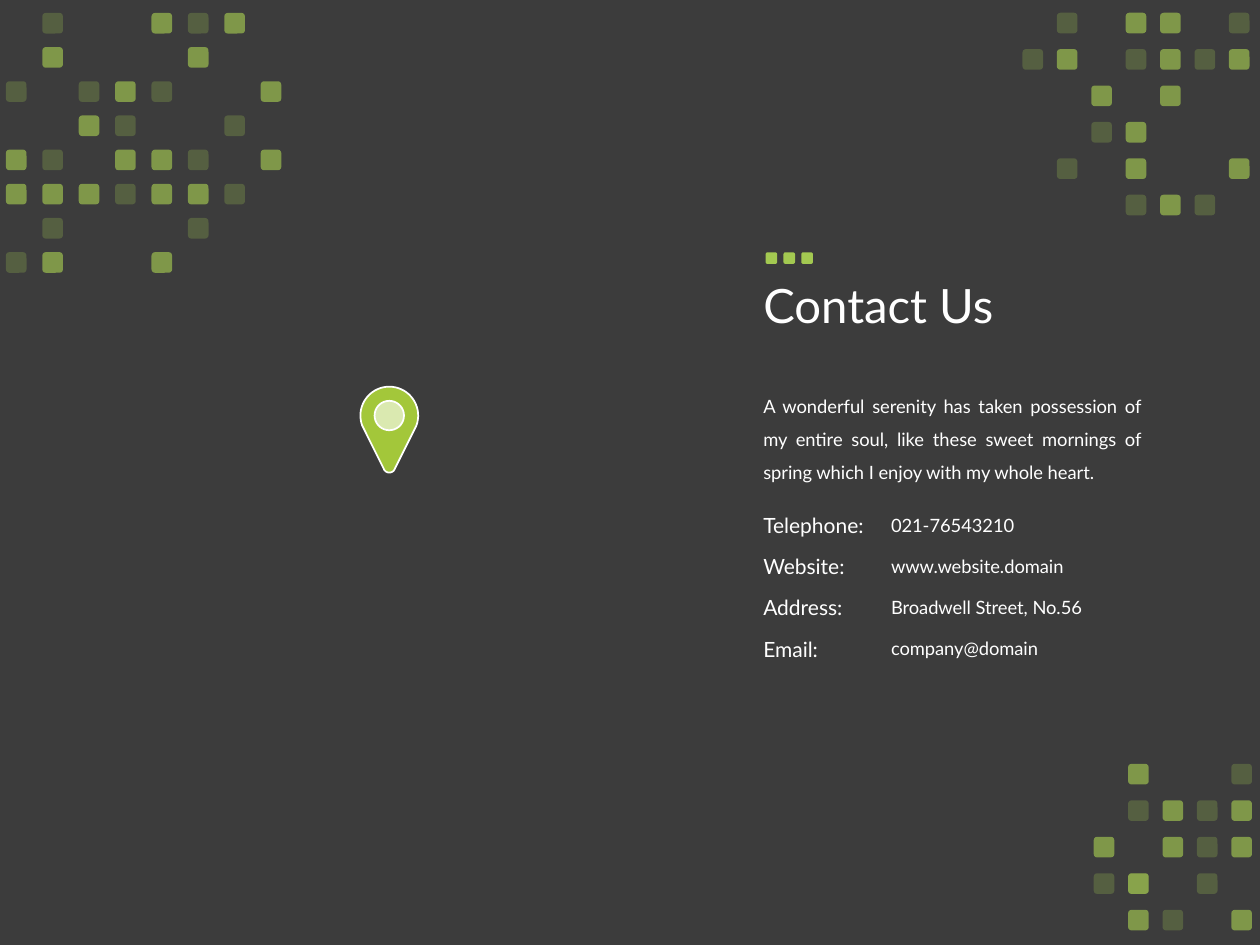
from math import cos, radians, sin

from lxml.etree import SubElement
from pptx import Presentation
from pptx.dml.color import RGBColor
from pptx.enum.shapes import MSO_SHAPE as Preset
from pptx.enum.text import MSO_ANCHOR as Anchor, PP_ALIGN as Align
from pptx.oxml.ns import qn
from pptx.util import Pt

BACKGROUND = RGBColor(0x3C, 0x3C, 0x3C)
WHITE = RGBColor(0xFF, 0xFF, 0xFF)
SQUARE_GREEN = RGBColor(0xA3, 0xC9, 0x51)
PIN_GREEN = RGBColor(0xA3, 0xC7, 0x3A)
PIN_PALE = RGBColor(0xDA, 0xE9, 0xB0)

# Opacity in percent of the squares that each pattern mark stands for
OPACITIES = {".": (), "o": (25,), "#": (65,), "@": (65, 25)}
SQUARE = 11.8

TOP_LEFT = [
    ".o..#o#.",
    ".#...#..",
    "o.o#o..#",
    "..#o..o.",
    "#o.##o.#",
    "###o##o.",
    ".o...o..",
    "o#..#...",
]
TOP_RIGHT = [
    ".o.##.o",
    "o#.o#o#",
    "..#.#..",
    "..o#...",
    ".o.#..#",
    "...o#o.",
]
BOTTOM_RIGHT = [
    ".#..o",
    ".o#o#",
    "#.#o#",
    "o@.o.",
    ".#o.#",
]

INTRO = ("A wonderful serenity has taken possession of my entire soul, like these "
         "sweet mornings of spring which I enjoy with my whole heart.")
CONTACTS = [
    ("Telephone:", "021-76543210"),
    ("Website:", "www.website.domain"),
    ("Address:", "Broadwell Street, No.56"),
    ("Email:", "company@domain"),
]


def paint(shape, color, outline=None):
    """Give a shape a flat fill and an optional 1 pt outline."""
    shape.shadow.inherit = False
    shape.fill.solid()
    shape.fill.fore_color.rgb = color
    if outline is None:
        shape.line.fill.background()
    else:
        shape.line.color.rgb = outline
        shape.line.width = Pt(1)


def add_square(group, left, top, size, opacity=100):
    square = group.shapes.add_shape(
        Preset.ROUNDED_RECTANGLE, Pt(left), Pt(top), Pt(size), Pt(size))
    paint(square, SQUARE_GREEN)
    if opacity < 100:
        color = square.fill._xPr.find(qn("a:solidFill"))[0]
        SubElement(color, qn("a:alpha"), val=str(opacity * 1000))


def add_mosaic(slide, left, top, column_step, row_step, pattern):
    group = slide.shapes.add_group_shape()
    for row, marks in enumerate(pattern):
        for column, mark in enumerate(marks):
            for opacity in OPACITIES[mark]:
                add_square(group, left + column * column_step,
                           top + row * row_step, SQUARE, opacity)


def add_text(slide, left, top, width, height, text, size, anchor=Anchor.TOP, **layout):
    box = slide.shapes.add_textbox(Pt(left), Pt(top), Pt(width), Pt(height))
    frame = box.text_frame
    frame.word_wrap = True
    frame.vertical_anchor = anchor
    paragraph = frame.paragraphs[0]
    paragraph.text = text
    for name, value in layout.items():
        setattr(paragraph, name, value)
    for name, value in {"name": "Lato", "size": Pt(size)}.items():
        setattr(paragraph.font, name, value)
    paragraph.font.color.rgb = WHITE


def arc(center_x, center_y, radius, start, end, steps=36):
    """Points along an arc; angles in degrees, clockwise from the right."""
    angles = [radians(start + (end - start) * i / steps) for i in range(steps + 1)]
    return [(Pt(center_x + radius * cos(a)), Pt(center_y + radius * sin(a)))
            for a in angles]


def add_map_pin(slide, left, top):
    group = slide.shapes.add_group_shape()
    center_x, center_y = left + 16.5, top + 16.5

    # Pale disc behind the hole
    disc = group.shapes.add_shape(
        Preset.OVAL, Pt(left + 7.2), Pt(top + 7), Pt(18.7), Pt(18.7))
    paint(disc, PIN_PALE, WHITE)

    # Drop outline: round head, then rounded tip; the hole runs the other way
    outline = (arc(center_x, center_y, 16.5, 160, 380)
               + arc(center_x, top + 45.7, 3.4, 20, 160))
    hole = arc(center_x, center_y, 8.4, 360, 0)
    builder = group.shapes.build_freeform(*outline[0])
    builder.add_line_segments(outline[1:])
    builder.move_to(*hole[0])
    builder.add_line_segments(hole[1:])
    paint(builder.convert_to_shape(), PIN_GREEN, WHITE)


def add_contact_panel(slide, left, top):
    # Three accent squares
    accents = slide.shapes.add_group_shape()
    for i in range(3):
        add_square(accents, left + 8.4 + i * 10.2, top + 20.4, 6.6)

    # Heading and introduction
    add_text(slide, left, top, 620.6, 104.4, "Contact Us", 27,
             anchor=Anchor.MIDDLE, line_spacing=0.9)
    add_text(slide, left, top + 92, 230.4, 62, INTRO, 10.5,
             alignment=Align.JUSTIFY, line_spacing=1.5)

    # Contact details
    for row, (label, value) in enumerate(CONTACTS):
        row_top = top + 165.4 + row * 23.6
        add_text(slide, left, row_top, 112.3, 21.6, label, 12)
        add_text(slide, left + 73, row_top + 0.8, 139, 20.2, value, 10.5)


def main():
    presentation = Presentation()
    presentation.slide_width, presentation.slide_height = Pt(720), Pt(540)
    slide = presentation.slides.add_slide(presentation.slide_layouts[6])
    slide.background.fill.solid()
    slide.background.fill.fore_color.rgb = BACKGROUND

    add_mosaic(slide, 3.4, 7.4, 20.8, 19.53, TOP_LEFT)
    add_contact_panel(slide, 429.1, 123.8)
    add_map_pin(slide, 206, 221)
    add_mosaic(slide, 584.3, 7.3, 19.66, 20.8, TOP_RIGHT)
    add_mosaic(slide, 625, 436.5, 19.66, 20.85, BOTTOM_RIGHT)

    presentation.save("out.pptx")


if __name__ == "__main__":
    main()
